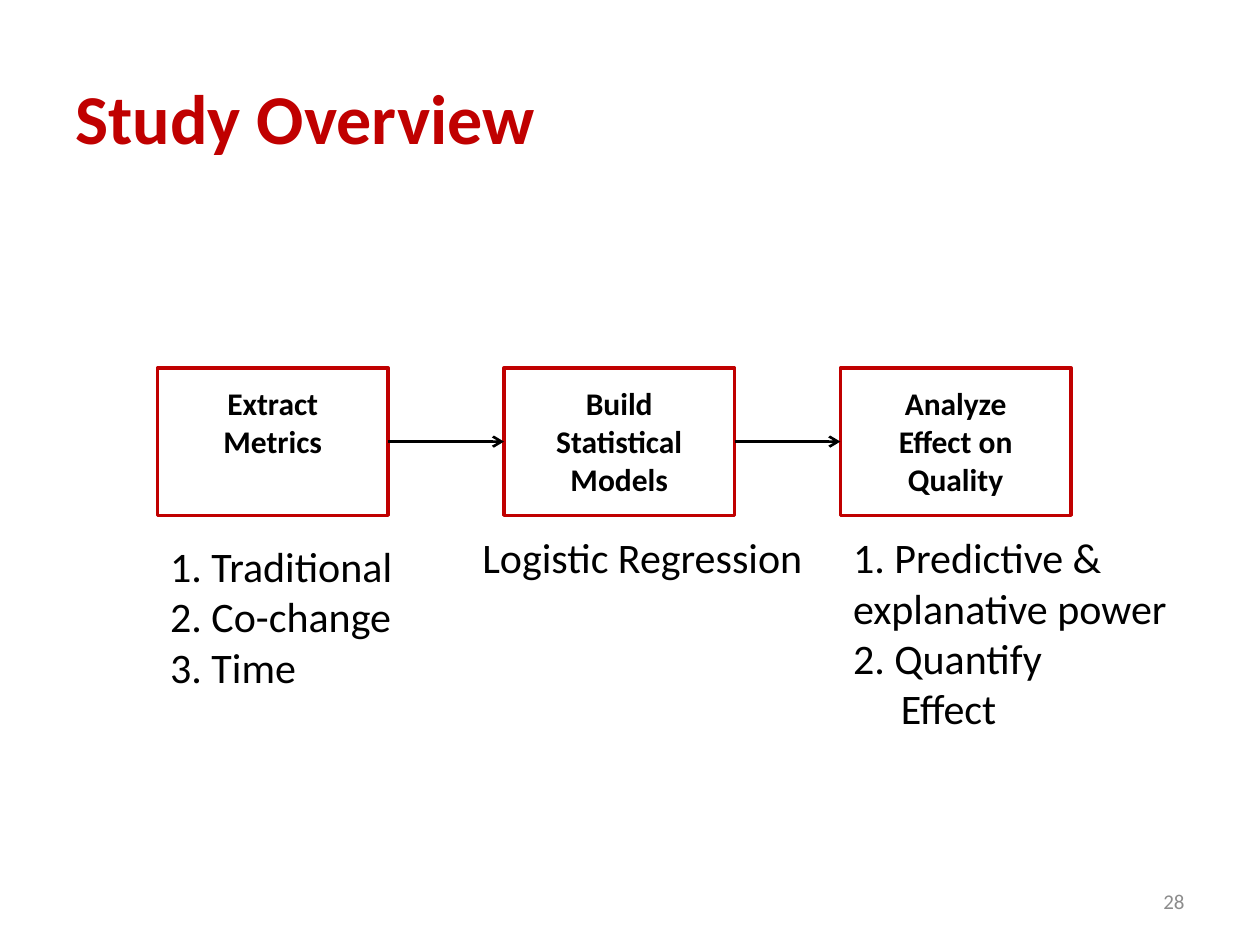
from dataclasses import dataclass

from lxml import etree
from pptx import Presentation
from pptx.dml.color import RGBColor
from pptx.enum.shapes import MSO_CONNECTOR, MSO_SHAPE
from pptx.enum.text import MSO_ANCHOR, MSO_AUTO_SIZE, PP_ALIGN
from pptx.oxml.ns import qn
from pptx.util import Inches, Pt

STRAIGHT = MSO_CONNECTOR.STRAIGHT
RECTANGLE = MSO_SHAPE.RECTANGLE
TOP, MIDDLE = MSO_ANCHOR.TOP, MSO_ANCHOR.MIDDLE
LEFT, CENTER, RIGHT = PP_ALIGN.LEFT, PP_ALIGN.CENTER, PP_ALIGN.RIGHT
NO_FIT = MSO_AUTO_SIZE.NONE
LEFT_SIDE, RIGHT_SIDE = 1, 3
TWO_CONTENT_LAYOUT = 3


@dataclass(frozen=True)
class Theme:
    font: str = "Calibri"
    accent: RGBColor = RGBColor(0xC0, 0x00, 0x00)
    text: RGBColor = RGBColor(0x00, 0x00, 0x00)
    muted: RGBColor = RGBColor(0x8C, 0x8C, 0x8C)
    title_size: int = 40
    detail_size: int = 24
    step_size: int = 18
    number_size: int = 12


THEME = Theme()
STEP_TOP, STEP_WIDTH, STEP_HEIGHT = 2.92, 1.83, 1.17
STEPS = [
    (1.25, "Extract Metrics"),
    (4, "Build Statistical Models"),
    (6.67, "Analyze Effect on Quality"),
]
METRICS = [("1. Traditional", 0), ("2. Co-change", 0), ("3. Time", 0)]
EFFECTS = [
    ("1. Predictive & explanative power", 0),
    ("2. Quantify", 0),
    ("Effect", 0.38),
]


def place(shape, left, top, width, height):
    shape.left, shape.top = Inches(left), Inches(top)
    shape.width, shape.height = Inches(width), Inches(height)


def write(paragraph, text, size, color, bold=False, align=LEFT):
    paragraph.alignment = align
    run = paragraph.add_run()
    run.text = text
    run.font.name = THEME.font
    run.font.size = Pt(size)
    run.font.color.rgb = color
    run.font.bold = bold


def set_title(slide, text):
    title = slide.shapes.title
    place(title, 0.5, 0.3, 9, 1.25)
    title.text_frame.vertical_anchor = MIDDLE
    write(title.text_frame.paragraphs[0], text, THEME.title_size, THEME.accent, bold=True)


def fill_list(placeholder, items, box):
    place(placeholder, *box)
    frame = placeholder.text_frame
    frame.auto_size = NO_FIT
    frame.vertical_anchor = TOP
    for index, (text, indent) in enumerate(items):
        paragraph = frame.add_paragraph() if index else frame.paragraphs[0]
        paragraph.space_before = Pt(0)
        write(paragraph, text, THEME.detail_size, THEME.text)
        properties = paragraph._p.get_or_add_pPr()
        properties.set("marL", str(Inches(indent)))
        properties.set("indent", "0")
        etree.SubElement(properties, qn("a:buNone"))


def add_text(slide, text, box, size, color, align=LEFT, anchor=TOP):
    text_box = slide.shapes.add_textbox(*map(Inches, box))
    frame = text_box.text_frame
    frame.word_wrap = True
    frame.vertical_anchor = anchor
    write(frame.paragraphs[0], text, size, color, align=align)


def add_step(slide, left, text):
    step = slide.shapes.add_shape(
        RECTANGLE, Inches(left), Inches(STEP_TOP), Inches(STEP_WIDTH), Inches(STEP_HEIGHT)
    )
    step.shadow.inherit = False
    step.fill.background()
    step.line.color.rgb = THEME.accent
    step.line.width = Pt(2)
    frame = step.text_frame
    frame.word_wrap = True
    frame.vertical_anchor = TOP
    frame.margin_left = frame.margin_right = Inches(0.27)
    frame.margin_top = Inches(0.13)
    write(frame.paragraphs[0], text, THEME.step_size, THEME.text, bold=True, align=CENTER)
    return step


def add_arrow(slide, source, target):
    arrow = slide.shapes.add_connector(STRAIGHT, 0, 0, 0, 0)
    arrow.begin_connect(source, RIGHT_SIDE)
    arrow.end_connect(target, LEFT_SIDE)
    arrow.line.color.rgb = THEME.text
    arrow.line.width = Pt(1.5)
    etree.SubElement(arrow.line._get_or_add_ln(), qn("a:tailEnd"), type="arrow")
    etree.SubElement(arrow._element.spPr, qn("a:effectLst"))


def main():
    presentation = Presentation()
    presentation.slide_width, presentation.slide_height = Inches(10), Inches(7.5)
    slide = presentation.slides.add_slide(presentation.slide_layouts[TWO_CONTENT_LAYOUT])

    set_title(slide, "Study Overview")
    steps = [add_step(slide, left, text) for left, text in STEPS]
    for source, target in zip(steps, steps[1:]):
        add_arrow(slide, source, target)

    fill_list(slide.placeholders[1], METRICS, (1.25, 4.24, 1.98, 1.31))
    add_text(slide, "Logistic Regression", (3.73, 4.17, 2.8, 0.5), THEME.detail_size, THEME.text)
    fill_list(slide.placeholders[2], EFFECTS, (6.67, 4.17, 3, 1.72))
    add_text(slide, "28", (7.17, 6.95, 2.33, 0.4), THEME.number_size, THEME.muted, RIGHT, MIDDLE)

    presentation.save("out.pptx")


if __name__ == "__main__":
    main()
